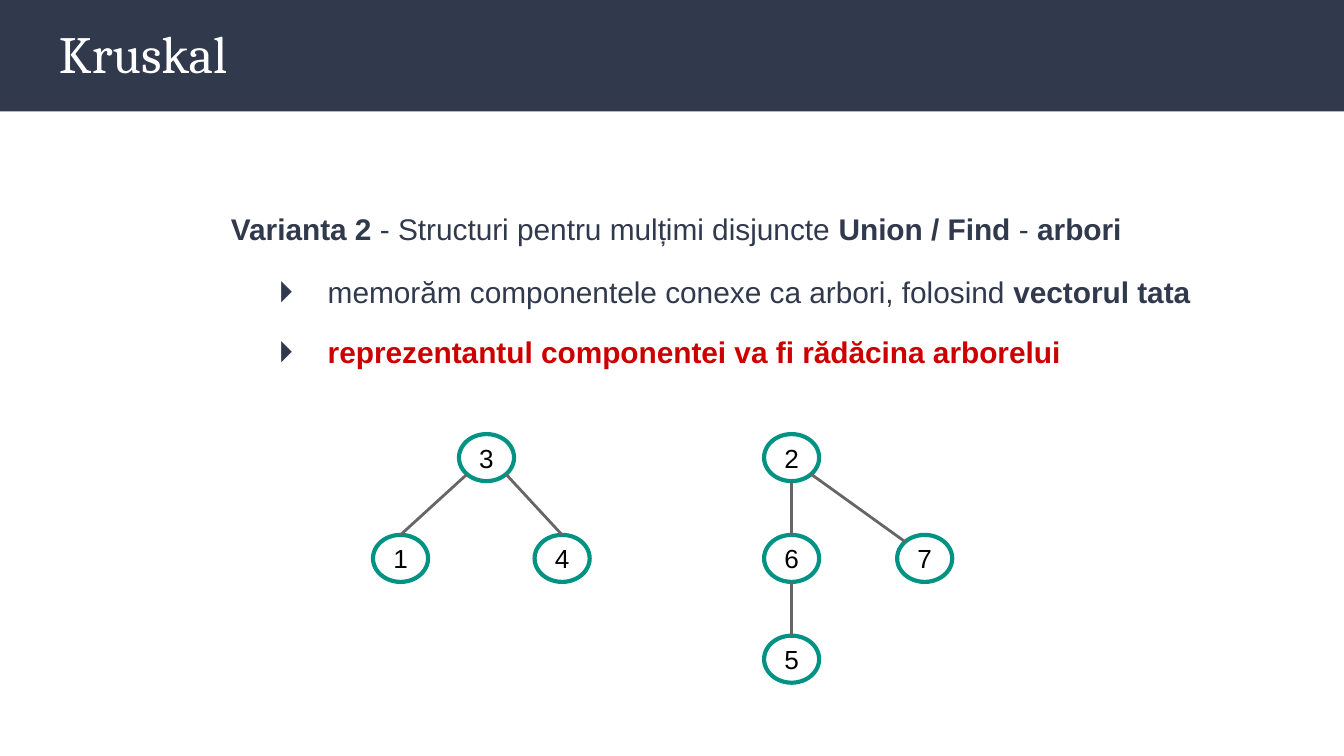
from dataclasses import dataclass

from lxml import etree
from pptx import Presentation
from pptx import util as u
from pptx.dml.color import RGBColor
from pptx.enum import shapes, text
from pptx.oxml.ns import qn

COLUMNS, ROWS, CELL = 40, 22.5, 0.25  # grid of quarter-inch cells
NODE_WIDTH, NODE_HEIGHT = 1.64, 1.4
FIRST_LEVEL, LEVEL_STEP = 12.92, 3

# Where an edge meets a node, as shares of the node's size
PORTS = {
    "top": (0.5, 0),
    "bottom": (0.5, 1),
    "top left": (0.15, 0.15),
    "bottom left": (0.15, 0.85),
    "bottom right": (0.85, 0.85),
}

# Each tree: nodes as label: (column, level); edges as (parent, port, child, port)
TREES = [
    ({"3": (13.66, 0), "1": (11.1, 1), "4": (15.91, 1)},
     [("3", "bottom left", "1", "top"), ("3", "bottom right", "4", "top")]),
    ({"2": (22.74, 0), "7": (26.7, 1), "6": (22.74, 1), "5": (22.74, 2)},
     [("2", "bottom", "6", "top"), ("6", "bottom", "5", "top"),
      ("2", "bottom right", "7", "top left")]),
]


@dataclass(frozen=True)
class Theme:
    navy: RGBColor = RGBColor.from_string("31394D")
    white: RGBColor = RGBColor.from_string("FFFFFF")
    black: RGBColor = RGBColor.from_string("000000")
    red: RGBColor = RGBColor.from_string("CC0000")
    teal: RGBColor = RGBColor.from_string("009384")
    grey: RGBColor = RGBColor.from_string("666666")
    heading_font: str = "Cambria"
    body_font: str = "Arial"
    heading_size: int = 28
    body_size: int = 16
    node_size: int = 14


THEME = Theme()


def grid(*cells):
    return [u.Inches(CELL * cell) for cell in cells]


def add_span(para, words, size, color, font=THEME.body_font, bold=False):
    span = para.add_run()
    span.text = words
    span.font.name, span.font.size, span.font.bold = font, u.Pt(size), bold
    span.font.color.rgb = color


def add_box(page, left, top, width, height, anchor=text.MSO_ANCHOR.TOP):
    frame = page.shapes.add_textbox(*grid(left, top, width, height)).text_frame
    frame.word_wrap = True
    frame.vertical_anchor = anchor
    frame.margin_left = frame.margin_right = u.Inches(0.1)
    frame.margin_top = frame.margin_bottom = u.Inches(0.1)
    return frame


def indent(para, left, first=0, bullet=None):
    props = para._p.get_or_add_pPr()
    props.set("marL", str(u.Inches(left)))
    props.set("indent", str(u.Inches(first)))
    if bullet:
        color = etree.SubElement(props, qn("a:buClr"))
        etree.SubElement(color, qn("a:srgbClr"), val=str(THEME.navy))
        etree.SubElement(props, qn("a:buFont"), typeface=THEME.body_font)
        etree.SubElement(props, qn("a:buChar"), char=bullet)
    para.line_spacing = 1.15


def add_header(page):
    band = page.shapes.add_shape(shapes.MSO_SHAPE.RECTANGLE, *grid(0, 0, COLUMNS, 3.32))
    band.shadow.inherit = False
    band.fill.solid()
    band.fill.fore_color.rgb = THEME.navy
    band.line.fill.background()
    frame = add_box(page, 1.36, 0.2, 37.28, 2.72, text.MSO_ANCHOR.MIDDLE)
    add_span(frame.paragraphs[0], "Kruskal", THEME.heading_size, THEME.white,
             THEME.heading_font)


def add_body(page):
    frame = add_box(page, 1.36, 5.71, 37.28, 6)
    lead = frame.paragraphs[0]
    indent(lead, 1.28)
    for words, bold in [("Varianta 2", True),
                        (" - Structuri pentru mulțimi disjuncte ", False),
                        ("Union / Find", True), (" - ", False), ("arbori", True)]:
        add_span(lead, words, THEME.body_size, THEME.navy, bold=bold)

    points = [
        (12, [("memorăm componentele conexe ca arbori, folosind ", THEME.navy, False),
              ("vectorul tata", THEME.navy, True)]),
        (10, [("reprezentantul componentei va fi rădăcina arborelui", THEME.red, True)]),
    ]
    for space, spans in points:
        para = frame.add_paragraph()
        indent(para, 2, -0.37, "⏵")
        para.space_before = u.Pt(space)
        for words, color, bold in spans:
            add_span(para, words, THEME.body_size, color, bold=bold)


def add_node(group, label, column, level):
    node = group.shapes.add_shape(
        shapes.MSO_SHAPE.OVAL,
        *grid(column, FIRST_LEVEL + level * LEVEL_STEP, NODE_WIDTH, NODE_HEIGHT))
    node.shadow.inherit = False
    node.fill.background()
    node.line.color.rgb, node.line.width = THEME.teal, u.Pt(2.25)
    frame = node.text_frame
    frame.vertical_anchor = text.MSO_ANCHOR.MIDDLE
    frame.margin_left = frame.margin_right = u.Inches(0.02)
    frame.margin_top = frame.margin_bottom = u.Inches(0.02)
    para = frame.paragraphs[0]
    para.alignment = text.PP_ALIGN.CENTER
    add_span(para, label, THEME.node_size, THEME.black)


def port_place(column, level, port):
    across, down = PORTS[port]
    return grid(column + across * NODE_WIDTH,
                FIRST_LEVEL + level * LEVEL_STEP + down * NODE_HEIGHT)


def add_edge(group, start, end):
    edge = group.shapes.add_connector(shapes.MSO_CONNECTOR.STRAIGHT, *start, *end)
    edge.line.color.rgb, edge.line.width = THEME.grey, u.Pt(1.5)
    etree.SubElement(edge._element.spPr, qn("a:effectLst"))


def add_tree(page, nodes, edges):
    group = page.shapes.add_group_shape()
    for label, place in nodes.items():
        add_node(group, label, *place)
    for parent, parent_port, child, child_port in edges:
        add_edge(group, port_place(*nodes[parent], parent_port),
                 port_place(*nodes[child], child_port))


def main():
    deck = Presentation()
    deck.slide_width, deck.slide_height = grid(COLUMNS, ROWS)
    page = deck.slides.add_slide(deck.slide_layouts[6])

    # Title band and explanation
    add_header(page)
    add_body(page)

    # Component trees
    for nodes, edges in TREES:
        add_tree(page, nodes, edges)

    deck.save("out.pptx")


if __name__ == "__main__":
    main()
